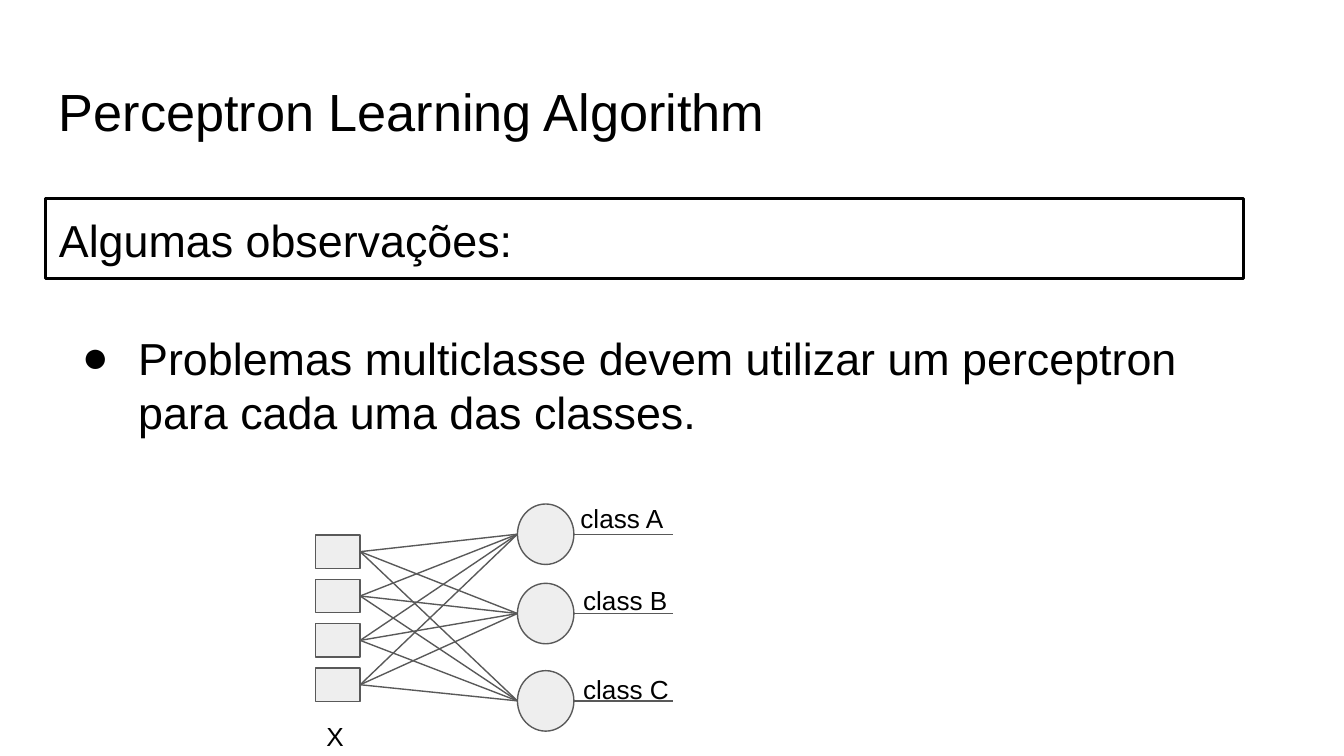
"""Build the slide on multiclass perceptrons."""
from itertools import product
from lxml.etree import SubElement as Sub
from pptx import Presentation as Deck
from pptx.dml.color import RGBColor as Rgb
from pptx.enum.shapes import MSO_CONNECTOR as Link, MSO_SHAPE as Form
from pptx.enum.text import MSO_ANCHOR as Anchor, PP_ALIGN as Align
from pptx.oxml.ns import qn
from pptx.util import Inches, Pt

THEME = {
    "font": "Arial", "title": 28, "body": 24, "label": 14,
    "ink": Rgb(0, 0, 0), "fill": Rgb(0xEE, 0xEE, 0xEE),
    "edge": Rgb(0x59, 0x59, 0x59),
}
TITLE = "Perceptron Learning Algorithm"
HEAD = "Algumas observações:"
POINT = "Problemas multiclasse devem utilizar um perceptron para cada uma das classes."
NODES = [
    (3.75, "class A", 4.22, 3.64),
    (4.34, "class B", 4.24, 4.25),
    (4.99, "class C", 4.24, 4.91),
]
INPUT = "X"
PAGE = 10
COUNT, STEP = 4, 0.33
LEFT, TOP, WIDE, HIGH = 2.35, 3.98, 0.33, 0.25
NODE, DIAM, TALL, END = 3.85, 0.42, 0.45, 5.01


def write(shape, text, size):
    frame = shape.text_frame
    frame.word_wrap = True
    frame.vertical_anchor = Anchor.TOP
    frame.margin_left = frame.margin_right = Inches(0.1)
    frame.margin_top = frame.margin_bottom = Inches(0.1)
    para = frame.paragraphs[0]
    para.alignment = Align.LEFT
    run = para.add_run()
    run.text = text
    run.font.name = THEME["font"]
    run.font.size = Pt(THEME[size])
    run.font.color.rgb = THEME["ink"]
    return para


def label(slide, text, size, *area):
    box = slide.shapes.add_textbox(*map(Inches, area))
    return write(box, text, size)


def bullet(para):
    props = para._p.get_or_add_pPr()
    props.set("marL", str(Inches(0.5)))
    props.set("indent", str(Inches(-0.42)))
    Sub(props, qn("a:buFont")).set("typeface", THEME["font"])
    Sub(props, qn("a:buChar")).set("char", "●")


def draw(slide, form, area, fill="fill", edge="edge", width=0.75):
    shape = slide.shapes.add_shape(form, *map(Inches, area))
    shape.shadow.inherit = False
    if fill:
        shape.fill.solid()
        shape.fill.fore_color.rgb = THEME[fill]
    else:
        shape.fill.background()
    shape.line.color.rgb = THEME[edge]
    shape.line.width = Pt(width)
    return shape


def join(slide, start, end):
    line = slide.shapes.add_connector(Link.STRAIGHT, *map(Inches, start + end))
    line.line.color.rgb = THEME["edge"]
    line.line.width = Pt(0.75)
    Sub(line._element.spPr, qn("a:effectLst"))


def network(slide):
    tops = [TOP + STEP * i for i in range(COUNT)]
    mids = [top + TALL / 2 for top, *_ in NODES]
    for top, *_ in NODES:
        draw(slide, Form.OVAL, (NODE, top, DIAM, TALL))
    for mid in mids:
        join(slide, (NODE + DIAM, mid), (END, mid))
    for top in tops:
        draw(slide, Form.RECTANGLE, (LEFT, top, WIDE, HIGH))
    for top, mid in product(tops, mids):
        join(slide, (LEFT + WIDE, top + HIGH / 2), (NODE, mid))
    label(slide, INPUT, "label", 2.33, 5.26, 0.33, 0.29)
    for _, name, left, top in NODES:
        label(slide, name, "label", left, top, 0.89, 0.45)


def main():
    deck = Deck()
    deck.slide_width, deck.slide_height = Inches(PAGE), Inches(PAGE * 9 / 16)
    slide = deck.slides.add_slide(deck.slide_layouts[6])
    label(slide, TITLE, "title", 0.34, 0.49, 9.32, 0.63)
    head = draw(slide, Form.RECTANGLE, (0.34, 1.48, 8.91, 0.59), None, "ink", 1.5)
    write(head, HEAD, "body")
    bullet(label(slide, POINT, "body", 0.43, 2.36, 8.82, 2.83))
    network(slide)
    deck.save("out.pptx")


if __name__ == "__main__":
    main()
